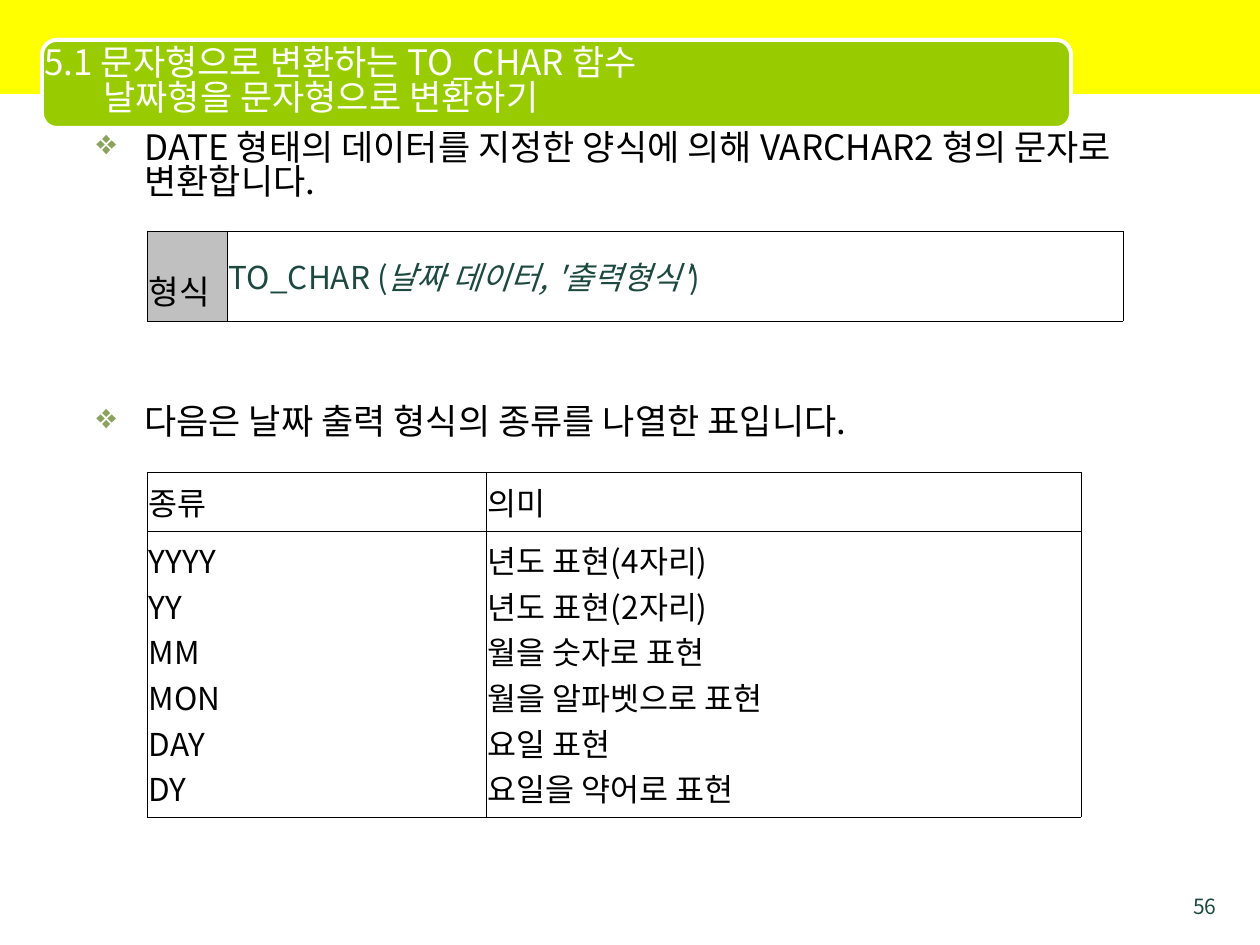
from pptx import Presentation
from pptx.dml.color import RGBColor
from pptx.enum.shapes import MSO_SHAPE as Shape
from pptx.enum.text import MSO_ANCHOR as Anchor, PP_ALIGN as Align
from pptx.oxml import parse_xml
from pptx.oxml.ns import nsdecls
from pptx.util import Emu, Pt

PX = 914400 // 126
FONT = "Noto Sans CJK KR"
BLACK, WHITE, GREEN, GRAY = "000000", "FFFFFF", "1D4940", "C0C0C0"
YELLOW, LIME, OLIVE = "FFFF00", "99CC00", "8CA35F"


def px(n):
    """Turn px into EMU."""
    return Emu(n * PX)


def rgb(value):
    """Turn a hex string into a colour."""
    return RGBColor.from_string(value)


def xml(text):
    """Parse a DrawingML fragment whose root tag lacks its namespace."""
    tag, rest = text[1:].split(" ", 1)
    return parse_xml(f"<{tag} {nsdecls('a')} {rest}")


class SlideBuilder:
    """Holds the style and the current slide."""

    def __init__(self, slide, font):
        """Keep the slide and the font."""
        self.slide, self.font = slide, font

    def shape(self, kind, box, fill, line=None, width=0):
        """Add a preset shape."""
        sp = self.slide.shapes.add_shape(kind, *map(px, box))
        sp.shadow.inherit = False
        sp.fill.solid()
        sp.fill.fore_color.rgb = rgb(fill)
        if line:
            sp.line.color.rgb = rgb(line)
            sp.line.width = Pt(width)
        else:
            sp.line.fill.background()
        return sp

    def run(self, p, text, size, color, italic=False):
        """Add one run to a paragraph."""
        r = p.add_run()
        r.text = text
        r.font.size, r.font.italic = Pt(size), italic
        r.font.color.rgb = rgb(color)
        r.font.name = self.font
        r._r.get_or_add_rPr().append(xml(f'<a:ea typeface="{self.font}"/>'))

    def text(self, box, lines, size, color, align=Align.LEFT, anchor=Anchor.TOP,
             spacing=None, indents=(), gap=0, bullet=None):
        """Add a text box with one paragraph per line."""
        tf = self.slide.shapes.add_textbox(*map(px, box)).text_frame
        tf.word_wrap, tf.vertical_anchor = True, anchor
        for i, line in enumerate(lines):
            p = tf.paragraphs[0] if i == 0 else tf.add_paragraph()
            p.alignment, p.line_spacing = align, spacing
            if i:
                p.space_before = Pt(gap)
            pPr = p._p.get_or_add_pPr()
            if indents:
                pPr.set("marL", str(px(indents[i])))
            if bullet:
                pPr.set("indent", str(-px(indents[i])))
                pPr.append(xml(f'<a:buClr ><a:srgbClr val="{OLIVE}"/></a:buClr>'))
                pPr.append(xml(f'<a:buChar char="{bullet}"/>'))
            self.run(p, line, size, color)

    def table(self, left, top, cols, rows):
        """Add a bordered table without cell fills."""
        frame = self.slide.shapes.add_table(
            len(rows), len(cols), px(left), px(top), px(sum(cols)), px(sum(rows)))
        table = frame.table
        table.first_row = table.horz_banding = False
        for col, width in zip(table.columns, cols):
            col.width = px(width)
        for row, height in zip(table.rows, rows):
            row.height = px(height)
        for cell in table.iter_cells():
            cell.vertical_anchor = Anchor.MIDDLE
            cell.margin_left = cell.margin_right = px(2)
            cell.margin_top = cell.margin_bottom = px(6)
            for side in "LRTB":
                cell._tc.get_or_add_tcPr().append(xml(
                    f'<a:ln{side} w="{Pt(0.11)}"><a:solidFill><a:srgbClr val="{BLACK}"/>'
                    f'</a:solidFill></a:ln{side}>'))
            cell.fill.background()
        return table

    def cell(self, cell, paragraphs, size, color, align=Align.JUSTIFY, spacing=None):
        """Fill a cell with paragraphs of (text, italic) runs."""
        tf = cell.text_frame
        for i, runs in enumerate(paragraphs):
            p = tf.paragraphs[0] if i == 0 else tf.add_paragraph()
            p.alignment, p.line_spacing = align, spacing
            for text, italic in runs:
                self.run(p, text, size, color, italic)


def main():
    """Build the slide."""
    prs = Presentation()
    prs.slide_width, prs.slide_height = px(1260), px(945)
    s = SlideBuilder(prs.slides.add_slide(prs.slide_layouts[6]), FONT)

    s.shape(Shape.RECTANGLE, (0, 0, 1261, 94), YELLOW)
    s.shape(Shape.ROUNDED_RECTANGLE, (42, 40, 1029, 88), LIME, WHITE, 2.25)
    s.text((1166, 887, 63, 26), ["56"], 12, GREEN, Align.RIGHT)
    s.text((32, 44, 1081, 78),
           ["5.1 문자형으로 변환하는 TO_CHAR 함수", "날짜형을 문자형으로 변환하기"],
           20, WHITE, anchor=Anchor.MIDDLE, spacing=0.83, indents=(0, 59))
    s.text((84, 126, 1144, 774),
           ["DATE 형태의 데이터를 지정한 양식에 의해 VARCHAR2 형의 문자로 변환합니다.",
            "다음은 날짜 출력 형식의 종류를 나열한 표입니다."],
           20, BLACK, spacing=0.83, indents=(48, 48), gap=117, bullet="❖")

    syntax = s.table(147, 231, (80, 896), (90,))
    label, usage = syntax.cell(0, 0), syntax.cell(0, 1)
    label.fill.solid()
    label.fill.fore_color.rgb = rgb(GRAY)
    s.cell(label, [[("형식", False)]], 19, BLACK, spacing=1.6)
    s.cell(usage, [[("TO_CHAR (", False), ("날짜 데이터, '출력형식'", True), (")", False)]],
           18, GREEN, Align.LEFT)

    formats = s.table(147, 472, (339, 595), (59, 286))
    columns = (
        ("종류", ("YYYY", "YY", "MM", "MON", "DAY", "DY")),
        ("의미", ("년도 표현(4자리)", "년도 표현(2자리)", "월을 숫자로 표현",
                "월을 알파벳으로 표현", "요일 표현", "요일을 약어로 표현")),
    )
    for c, (heading, entries) in enumerate(columns):
        for r, lines in enumerate(((heading,), entries)):
            s.cell(formats.cell(r, c), [[(line, False)] for line in lines], 18, BLACK)

    prs.save("out.pptx")


if __name__ == "__main__":
    main()
